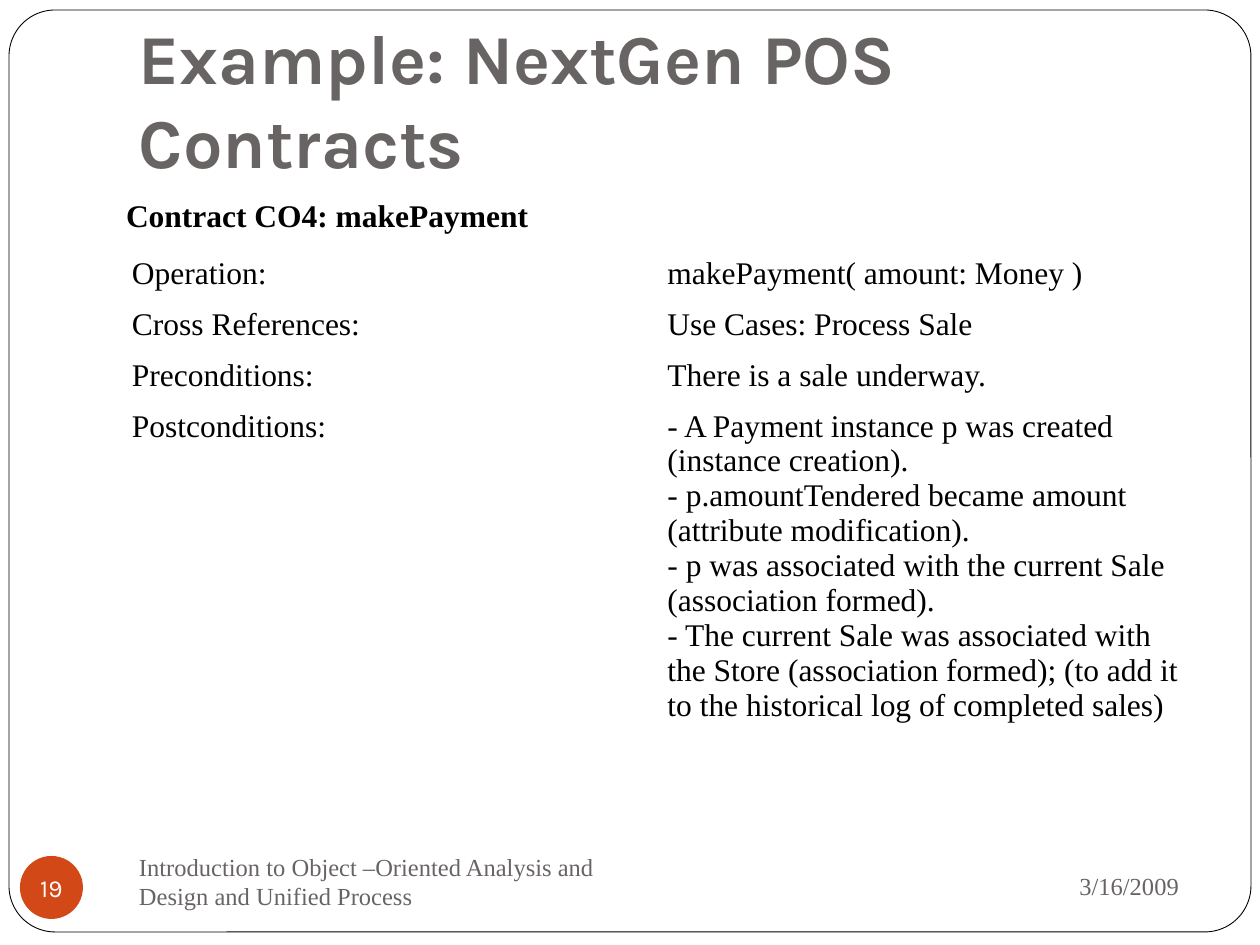
"""Build the contract slide: framed page, title, contract table and footer."""
import pptx
import pptx.dml.color
import pptx.enum.shapes
import pptx.enum.text
import pptx.util

PX = 914400 / 126
SERIF, SANS = "Times New Roman", "Karla"
GREY, BLACK, WHITE, ORANGE = "696464", "000000", "FFFFFF", "D34817"
ALIGN = pptx.enum.text.PP_ALIGN
ANCHOR = pptx.enum.text.MSO_ANCHOR
SHAPE = pptx.enum.shapes.MSO_SHAPE

FOOTER = {"name": SERIF, "size": 14, "color": GREY}
TEXTS = [
    {"text": "Example: NextGen POS Contracts", "at": (126, 38, 1071, 157),
     "anchor": ANCHOR.BOTTOM, "insets": (13, 6, 13, 13), "align": ALIGN.LEFT,
     "font": {"name": SANS, "size": 40, "color": GREY, "bold": True}},
    {"text": "3/16/2009", "at": (850, 853, 342, 66),
     "anchor": ANCHOR.MIDDLE, "insets": (13, 6, 13, 6), "align": ALIGN.RIGHT,
     "font": FOOTER},
    {"text": "Introduction to Object –Oriented Analysis and Design and Unified Process",
     "at": (126, 850, 546, 63),
     "anchor": ANCHOR.MIDDLE, "insets": (13, 6, 13, 6), "align": ALIGN.LEFT,
     "font": FOOTER},
]
FRAME = (9, 10, 1242, 922)
BADGE = {"text": "19", "at": (20, 856, 63, 63),
         "font": {"name": SANS, "size": 14, "color": WHITE}}
CONTRACT = [
    ("Contract CO4: makePayment", []),
    ("Operation:", ["makePayment( amount: Money )"]),
    ("Cross References:", ["Use Cases: Process Sale"]),
    ("Preconditions:", ["There is a sale underway."]),
    ("Postconditions:", [
        "- A Payment instance p was created (instance creation).",
        "- p.amountTendered became amount (attribute modification).",
        "- p was associated with the current Sale (association formed).",
        "- The current Sale was associated with the Store (association formed); "
        "(to add it to the historical log of completed sales)",
    ]),
]
TABLE_AT = (126, 199, 1071, 558)
ROW_HEIGHT = 51
CELL_INSET = 6


def px(*lengths):
    return [pptx.util.Emu(round(length * PX)) for length in lengths]


def rgb(value):
    return pptx.dml.color.RGBColor.from_string(value)


def set_margins(target, insets):
    for side, inset in zip(("left", "top", "right", "bottom"), px(*insets)):
        setattr(target, f"margin_{side}", inset)


def write(frame, lines, font, align=ALIGN.LEFT):
    for index, line in enumerate(lines):
        para = frame.add_paragraph() if index else frame.paragraphs[0]
        para.alignment = align
        span = para.add_run()
        span.text = line
        values = {"name": font["name"], "size": pptx.util.Pt(font["size"]),
                  "bold": font.get("bold", False)}
        for key, value in values.items():
            setattr(span.font, key, value)
        span.font.color.rgb = rgb(font["color"])


def add_text(page, item):
    frame = page.shapes.add_textbox(*px(*item["at"])).text_frame
    frame.word_wrap = True
    frame.vertical_anchor = item["anchor"]
    set_margins(frame, item["insets"])
    write(frame, [item["text"]], item["font"], item["align"])


def add_filled(page, kind, at, fill):
    shape = page.shapes.add_shape(kind, *px(*at))
    shape.shadow.inherit = False
    shape.fill.solid()
    shape.fill.fore_color.rgb = rgb(fill)
    return shape


def add_frame(page):
    border = add_filled(page, SHAPE.ROUNDED_RECTANGLE, FRAME, WHITE)
    border.adjustments[0] = 0.05
    border.line.color.rgb = rgb(BLACK)
    border.line.width = pptx.util.Pt(0.5)


def add_badge(page):
    badge = add_filled(page, SHAPE.OVAL, BADGE["at"], ORANGE)
    badge.line.fill.background()
    frame = badge.text_frame
    frame.word_wrap = False
    frame.vertical_anchor = ANCHOR.MIDDLE
    set_margins(frame, (0, 0, 0, 0))
    write(frame, [BADGE["text"]], BADGE["font"], ALIGN.CENTER)


def add_contract(page):
    holder = page.shapes.add_table(len(CONTRACT), 2, *px(*TABLE_AT))
    table = holder.table
    table.first_row = table.horz_banding = False
    for index, (label, details) in enumerate(CONTRACT):
        heading = index == 0
        table.rows[index].height = px(ROW_HEIGHT)[0]
        font = {"name": SERIF, "size": 18, "color": BLACK, "bold": heading}
        for column, lines in enumerate(([label], details)):
            cell = table.cell(index, column)
            cell.fill.background()
            set_margins(cell, [0 if heading else CELL_INSET] * 4)
            write(cell.text_frame, lines, font)
    holder.height = px(TABLE_AT[3])[0]


def main():
    deck = pptx.Presentation()
    deck.slide_width, deck.slide_height = px(1260, 945)
    page = deck.slides.add_slide(deck.slide_layouts[6])
    add_frame(page)
    for item in TEXTS:
        add_text(page, item)
    add_badge(page)
    add_contract(page)
    deck.save("out.pptx")


if __name__ == "__main__":
    main()
